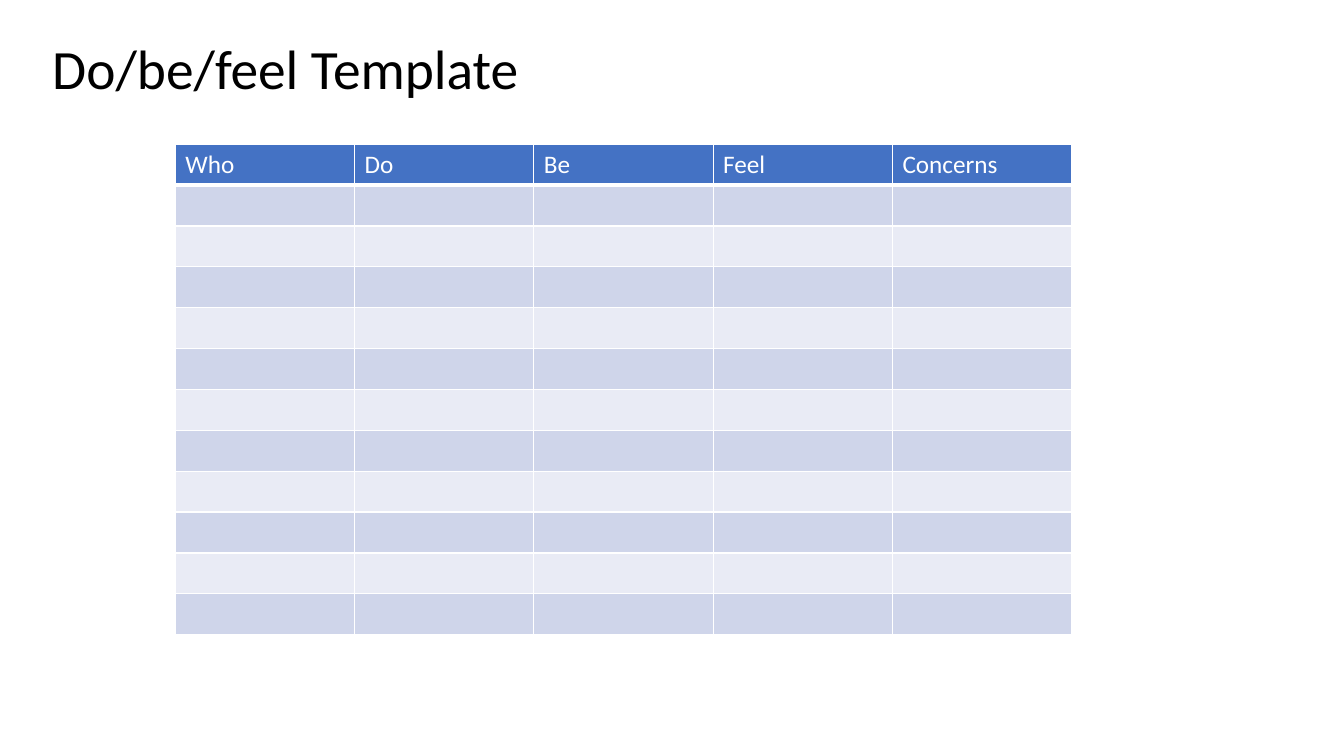
"""Build the Do/be/feel template slide: a title above an empty banded table."""
from dataclasses import dataclass

from lxml.etree import SubElement
from pptx import Presentation
from pptx.dml.color import RGBColor
from pptx.enum.text import MSO_ANCHOR as Anchor
from pptx.oxml.ns import qn
from pptx.util import Inches, Pt

WHITE = RGBColor(0xFF, 0xFF, 0xFF)
BLACK = RGBColor(0x00, 0x00, 0x00)
HEADER_BLUE = RGBColor(0x44, 0x72, 0xC4)
BAND_DARK = RGBColor(0xCF, 0xD5, 0xEA)
BAND_LIGHT = RGBColor(0xE9, 0xEB, 0xF5)

FONT = "Calibri"
SLIDE_W, SLIDE_H = Inches(13.33), Inches(7.5)
HEADINGS = ("Who", "Do", "Be", "Feel", "Concerns")
BODY_ROWS = 11


@dataclass(frozen=True)
class Area:
    left: float
    top: float
    width: float
    height: float

    def box(self) -> tuple[int, int, int, int]:
        return (
            int(SLIDE_W * self.left / 100),
            int(SLIDE_H * self.top / 100),
            int(SLIDE_W * self.width / 100),
            int(SLIDE_H * self.height / 100),
        )


@dataclass(frozen=True)
class RowStyle:
    fill: RGBColor
    bottom_pt: int = 1


TITLE_AREA = Area(3.15, 5.33, 40.74, 8.13)
TABLE_AREA = Area(13.05, 19.07, 66.69, 64.93)
HEADER = RowStyle(HEADER_BLUE, bottom_pt=3)
BANDS = (RowStyle(BAND_DARK), RowStyle(BAND_LIGHT))


def write(p, text: str, size: float, color: RGBColor) -> None:
    p.text = text
    p.font.name = FONT
    p.font.size = Pt(size)
    p.font.bold = False
    p.font.color.rgb = color


def add_title(slide, text: str) -> None:
    tf = slide.shapes.add_textbox(*TITLE_AREA.box()).text_frame
    tf.word_wrap = True
    tf.vertical_anchor = Anchor.MIDDLE
    p = tf.paragraphs[0]
    write(p, text, 39.6, BLACK)
    p.line_spacing = 0.9


def style_cell(cell, style: RowStyle) -> None:
    tc_pr = cell._tc.get_or_add_tcPr()
    for side in "LRTB":
        width = style.bottom_pt if side == "B" else 1
        ln = SubElement(tc_pr, qn(f"a:ln{side}"), w=str(Pt(width)))
        SubElement(SubElement(ln, qn("a:solidFill")), qn("a:srgbClr"), val=str(WHITE))
    cell.fill.solid()
    cell.fill.fore_color.rgb = style.fill


def add_grid(slide) -> None:
    styles = [HEADER] + [BANDS[i % 2] for i in range(BODY_ROWS)]
    table = slide.shapes.add_table(len(styles), len(HEADINGS), *TABLE_AREA.box()).table
    for row, style in zip(table.rows, styles):
        for cell in row.cells:
            style_cell(cell, style)
    for cell, heading in zip(table.rows[0].cells, HEADINGS):
        write(cell.text_frame.paragraphs[0], heading, 18, WHITE)


def main() -> None:
    prs = Presentation()
    prs.slide_width, prs.slide_height = SLIDE_W, SLIDE_H
    slide = prs.slides.add_slide(prs.slide_layouts[6])
    add_title(slide, "Do/be/feel Template")
    add_grid(slide)
    prs.save("out.pptx")


if __name__ == "__main__":
    main()
